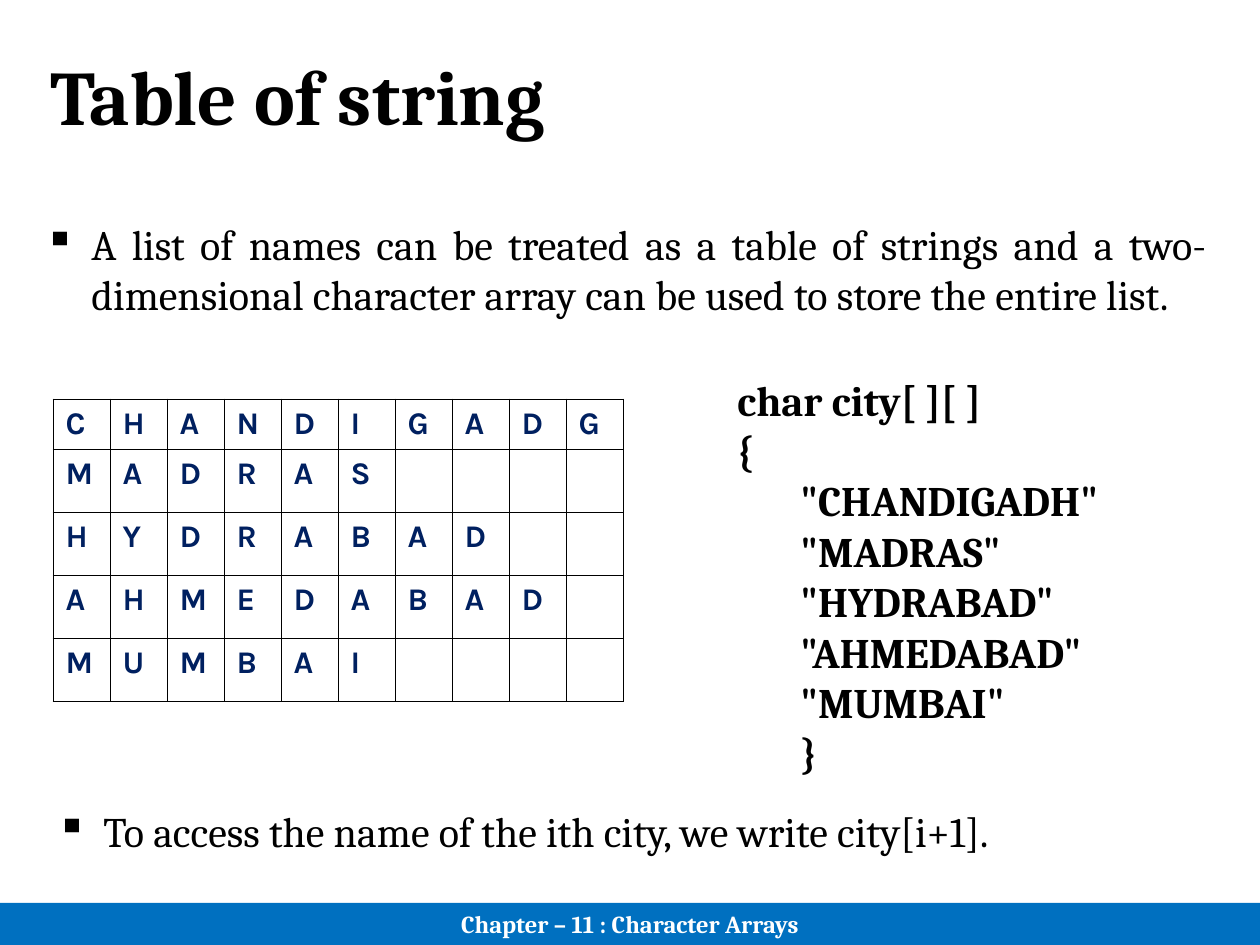
"""Build the slide on tables of strings, with a letter grid and its declaration."""
from lxml.etree import SubElement
from pptx import Presentation
from pptx.dml.color import RGBColor
from pptx.enum.shapes import MSO_SHAPE
from pptx.enum.text import MSO_ANCHOR, MSO_AUTO_SIZE, PP_ALIGN
from pptx.oxml.ns import qn
from pptx.util import Pt

TITLE = "Table of string"
BULLETS = [
    ("A list of names can be treated as a table of strings and a two-dimensional "
     "character array can be used to store the entire list.", (32, 212, 1187, 113)),
    ("To access the name of the ith city, we write city[i+1].", (44, 799, 1153, 63)),
]
GRID_WORDS = ["CHANDIGADG", "MADRAS", "HYDRABAD", "AHMEDABAD", "MUMBAI"]
DECLARATION = [
    ("char city[ ][ ]", 0),
    ("{", 0),
    ('"CHANDIGADH"', 1),
    ('"MADRAS"', 1),
    ('"HYDRABAD"', 1),
    ('"AHMEDABAD"', 1),
    ('"MUMBAI"', 1),
    ("}", 1),
]
FOOTER = "Chapter – 11 : Character Arrays"

BLACK = RGBColor(0x00, 0x00, 0x00)
WHITE = RGBColor(0xFF, 0xFF, 0xFF)
NAVY = RGBColor(0x00, 0x20, 0x60)
BLUE = RGBColor(0x00, 0x70, 0xC0)
SERIF, LETTER_FACE = "Cambria", "Karla"
GRID_LEFT, GRID_TOP, GRID_WIDTH, GRID_HEIGHT = 53, 399, 570, 250
INDENT, HANGING = 63, 47


def px(length):
    return int(length * 914400 / 126)


def box(*lengths):
    return [px(length) for length in lengths]


def style(paragraph, size, color, bold=False, face=SERIF):
    font = paragraph.font
    font.name, font.size, font.bold = face, Pt(size), bold
    font.color.rgb = color


def add_text(slide, place):
    frame = slide.shapes.add_textbox(*box(*place)).text_frame
    frame.word_wrap = True
    frame.auto_size = MSO_AUTO_SIZE.SHAPE_TO_FIT_TEXT
    return frame


def add_title(slide):
    title = slide.shapes.title
    title.left, title.top, title.width, title.height = box(38, 42, 525, 106)
    frame = title.text_frame
    frame.text = TITLE
    frame.word_wrap = False
    frame.auto_size = MSO_AUTO_SIZE.SHAPE_TO_FIT_TEXT
    frame.vertical_anchor = MSO_ANCHOR.TOP
    frame.paragraphs[0].alignment = PP_ALIGN.LEFT
    style(frame.paragraphs[0], 44, BLACK, bold=True)


def add_bullet(slide, sentence, place):
    paragraph = add_text(slide, place).paragraphs[0]
    paragraph.text = sentence
    paragraph.alignment = PP_ALIGN.JUSTIFY
    properties = paragraph._p.get_or_add_pPr()
    properties.set("marL", str(px(HANGING)))
    properties.set("indent", str(-px(HANGING)))
    bullet_color = SubElement(properties, qn("a:buClr"))
    SubElement(bullet_color, qn("a:srgbClr"), val=str(BLACK))
    SubElement(properties, qn("a:buChar"), char="▪")
    style(paragraph, 24, BLACK)


def add_borders(cell):
    properties = cell._tc.get_or_add_tcPr()
    for position, side in enumerate(("lnL", "lnR", "lnT", "lnB")):
        line = properties.makeelement(qn(f"a:{side}"), {"w": str(Pt(0.45))})
        fill = SubElement(line, qn("a:solidFill"))
        SubElement(fill, qn("a:srgbClr"), val=str(BLACK))
        properties.insert(position, line)


def add_grid(slide):
    columns = max(map(len, GRID_WORDS))
    place = box(GRID_LEFT, GRID_TOP, GRID_WIDTH, GRID_HEIGHT)
    grid = slide.shapes.add_table(len(GRID_WORDS), columns, *place).table
    grid.first_row = grid.horz_banding = False
    for row, word in enumerate(GRID_WORDS):
        for column, letter in enumerate(word.ljust(columns)):
            cell = grid.cell(row, column)
            cell.fill.solid()
            cell.fill.fore_color.rgb = WHITE
            add_borders(cell)
            paragraph = cell.text_frame.paragraphs[0]
            if letter.strip():
                paragraph.text = letter
                style(paragraph, 18, NAVY, bold=True, face=LETTER_FACE)
            else:
                ending = SubElement(paragraph._p, qn("a:endParaRPr"), sz="2400")
                SubElement(ending, qn("a:latin"), typeface=SERIF)


def add_declaration(slide):
    frame = add_text(slide, (725, 368, 441, 416))
    for number, (code, level) in enumerate(DECLARATION):
        paragraph = frame.add_paragraph() if number else frame.paragraphs[0]
        paragraph.text = code
        paragraph.level = level
        paragraph._p.get_or_add_pPr().set("marL", str(px(INDENT * level)))
        style(paragraph, 24, BLACK, bold=True)


def add_footer(slide):
    footer = slide.shapes.add_shape(MSO_SHAPE.RECTANGLE, *box(0, 903, 1260, 42))
    footer.shadow.inherit = False
    footer.fill.solid()
    footer.fill.fore_color.rgb = BLUE
    footer.line.fill.background()
    frame = footer.text_frame
    frame.text = FOOTER
    frame.vertical_anchor = MSO_ANCHOR.BOTTOM
    frame.paragraphs[0].alignment = PP_ALIGN.CENTER
    style(frame.paragraphs[0], 14, WHITE, bold=True)


def main():
    deck = Presentation()
    deck.slide_width, deck.slide_height = box(1260, 945)
    slide = deck.slides.add_slide(deck.slide_layouts[5])
    add_footer(slide)
    add_title(slide)
    add_grid(slide)
    add_declaration(slide)
    for sentence, place in BULLETS:
        add_bullet(slide, sentence, place)
    deck.save("out.pptx")


if __name__ == "__main__":
    main()
